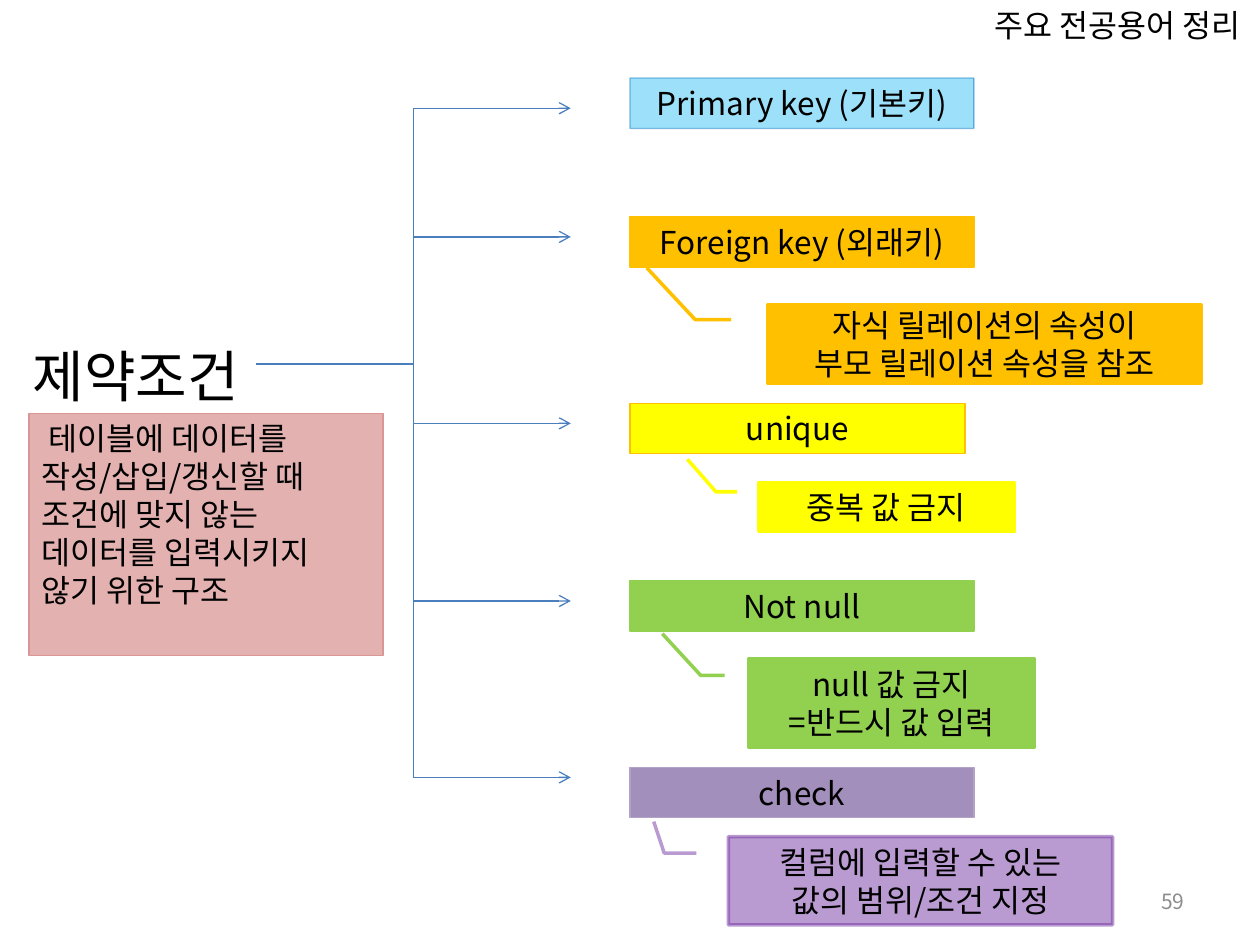
from dataclasses import dataclass
from typing import NamedTuple

from lxml import etree
from pptx import Presentation
from pptx.dml.color import RGBColor
from pptx.enum.shapes import MSO_CONNECTOR, MSO_SHAPE
from pptx.enum.text import MSO_ANCHOR, MSO_AUTO_SIZE, PP_ALIGN
from pptx.oxml.ns import qn
from pptx.util import Pt

PX = 9144
TITLE_ONLY = 5
STRAIGHT, ELBOW = MSO_CONNECTOR.STRAIGHT, MSO_CONNECTOR.ELBOW
RECTANGLE, CALLOUT = MSO_SHAPE.RECTANGLE, MSO_SHAPE.LINE_CALLOUT_2
TOP, MIDDLE = MSO_ANCHOR.TOP, MSO_ANCHOR.MIDDLE
LEFT, CENTER, RIGHT = PP_ALIGN.LEFT, PP_ALIGN.CENTER, PP_ALIGN.RIGHT
GROW, FIXED = MSO_AUTO_SIZE.SHAPE_TO_FIT_TEXT, MSO_AUTO_SIZE.NONE


class Box(NamedTuple):
    left: int
    top: int
    width: int
    height: int


class Paint(NamedTuple):
    color: str
    opacity: int = 100


@dataclass(frozen=True)
class Theme:
    font: str = "Noto Sans CJK KR"
    heading: int = 32
    body: int = 18
    small: int = 12
    thin: float = 0.75
    thick: float = 2
    ink: str = "000000"
    muted: str = "8C8C8C"
    branch: str = "4B7EBC"
    rose: Paint = Paint("C0504D", 44)
    rose_edge: Paint = Paint("D99694")
    sky: Paint = Paint("00B0F0", 39)
    sky_edge: Paint = Paint("0070C0", 45)
    orange: Paint = Paint("FFC000")
    yellow: Paint = Paint("FFFF00")
    green: Paint = Paint("92D050")
    purple: Paint = Paint("8064A2", 72)
    purple_edge: Paint = Paint("B3A2C7")
    violet: Paint = Paint("7030A0", 48)
    violet_edge: Paint = Paint("7030A0", 47)


THEME = Theme()


class Note(NamedTuple):
    offset: Box
    lines: list
    fill: Paint
    edge: Paint
    pointer: tuple = (-0.475, -0.278)


class Constraint(NamedTuple):
    top: int
    width: int
    name: str
    fill: Paint
    edge: Paint
    note: Note | None = None


CONSTRAINTS = [
    Constraint(0, 273, "Primary key (기본키)", THEME.sky, THEME.sky_edge),
    Constraint(110, 273, "Foreign key (외래키)", THEME.orange, THEME.orange,
               Note(Box(109, 70, 344, 62), ["자식 릴레이션의 속성이", "부모 릴레이션 속성을 참조"],
                    THEME.orange, THEME.orange)),
    Constraint(258, 266, "unique", THEME.yellow, THEME.orange,
               Note(Box(102, 63, 203, 39), ["중복 값 금지"], THEME.yellow, THEME.yellow)),
    Constraint(399, 273, "Not null", THEME.green, THEME.green,
               Note(Box(94, 62, 227, 70), ["null 값 금지", "=반드시 값 입력"],
                    THEME.green, THEME.green, (-0.286, -0.301))),
    Constraint(547, 273, "check", THEME.purple, THEME.purple_edge,
               Note(Box(78, 55, 305, 70), ["컬럼에 입력할 수 있는", "값의 범위/조건 지정"],
                    THEME.violet, THEME.violet_edge, (-0.17, -0.194))),
]


def emu(values):
    """Turn px lengths into EMU."""
    return [value * PX for value in values]


def write(frame, lines, size=THEME.body, color=THEME.ink, align=CENTER, anchor=TOP, fit=GROW):
    """Fill a text frame with one paragraph for each line."""
    frame.word_wrap = True
    frame.auto_size = fit
    frame.vertical_anchor = anchor
    for index, line in enumerate(lines):
        para = frame.add_paragraph() if index else frame.paragraphs[0]
        para.alignment = align
        span = para.add_run()
        span.text = line
        span.font.size = Pt(size)
        span.font.color.rgb = RGBColor.from_string(color)
        span.font.name = THEME.font
        etree.SubElement(span._r.get_or_add_rPr(), qn("a:ea"), typeface=THEME.font)


def apply_paint(fill, paint, parent):
    """Give a fill its colour and opacity."""
    fill.solid()
    fill.fore_color.rgb = RGBColor.from_string(paint.color)
    if paint.opacity < 100:
        color = parent.find(qn("a:solidFill")).find(qn("a:srgbClr"))
        etree.SubElement(color, qn("a:alpha"), val=str(paint.opacity * 1000))


def add_panel(page, kind, box, fill, edge, weight):
    """Add a filled and outlined shape."""
    shape = page.shapes.add_shape(kind, *emu(box))
    shape.shadow.inherit = False
    shape.line.width = Pt(weight)
    properties = shape._element.spPr
    apply_paint(shape.fill, fill, properties)
    apply_paint(shape.line.fill, edge, properties.find(qn("a:ln")))
    return shape


def add_branch(page, kind, start, end, arrow=True):
    """Add one connector of the tree."""
    line = page.shapes.add_connector(kind, *emu(start + end))
    line.line.color.rgb = RGBColor.from_string(THEME.branch)
    line.line.width = Pt(THEME.thin)
    properties = line._element.spPr
    if arrow:
        etree.SubElement(properties.find(qn("a:ln")), qn("a:tailEnd"), type="arrow")
    etree.SubElement(properties, qn("a:effectLst"))


def add_title(page, box):
    """Place the title in the page corner."""
    title = page.shapes.title
    title.left, title.top, title.width, title.height = emu(box)
    write(title.text_frame, ["주요 전공용어 정리"])


def add_definition(page, box):
    """Place the term with its definition below."""
    term = page.shapes.add_textbox(*emu((box.left - 7, box.top, 219, 64)))
    write(term.text_frame, ["제약조건"], THEME.heading, align=LEFT)
    panel = add_panel(page, RECTANGLE, Box(box.left, box.top + 62, box.width, box.height - 62),
                      THEME.rose, THEME.rose_edge, THEME.thin)
    write(panel.text_frame, [" 테이블에 데이터를", "작성/삽입/갱신할 때 조건에 맞지 않는",
                             "데이터를 입력시키지 않기 위한 구조"], align=LEFT)


def add_tree(page, box):
    """Branch from the term to every constraint."""
    middle, right = box.left + box.width // 2, box.left + box.width
    root, bottom = box.top + 203, box.top + box.height
    add_branch(page, ELBOW, (box.left, root), (right, box.top))
    add_branch(page, STRAIGHT, (middle, root), (middle, bottom), arrow=False)
    for offset in (102, 250, 391, box.height):
        level = box.top + offset
        add_branch(page, STRAIGHT, (middle, level), (right, level))


def add_note(page, box, note):
    """Place a callout that explains a constraint."""
    shape = add_panel(page, CALLOUT, box, note.fill, note.edge, THEME.thick)
    for index, value in enumerate((0.1875, -0.0833, 0.1875, -0.1667, *note.pointer)):
        shape.adjustments[index] = value
    write(shape.text_frame, note.lines, anchor=MIDDLE, fit=FIXED)


def add_constraints(page, box):
    """Place the constraint labels with their notes."""
    for item in CONSTRAINTS:
        top = box.top + item.top
        label = add_panel(page, RECTANGLE, Box(box.left, top, item.width, 40),
                          item.fill, item.edge, THEME.thin)
        write(label.text_frame, [item.name])
        if item.note:
            place = item.note.offset
            add_note(page, Box(box.left + place.left, top + place.top, place.width, place.height),
                     item.note)


def add_page_number(page, box):
    """Place the page number."""
    number = page.shapes.add_textbox(*emu(box))
    write(number.text_frame, ["59"], THEME.small, THEME.muted, RIGHT, MIDDLE, FIXED)


def main():
    """Build and save the deck."""
    deck = Presentation()
    deck.slide_width, deck.slide_height = emu((1000, 750))
    page = deck.slides.add_slide(deck.slide_layouts[TITLE_ONLY])
    add_title(page, Box(758, 0, 258, 40))
    add_definition(page, Box(23, 266, 281, 254))
    add_tree(page, Box(203, 86, 250, 531))
    add_constraints(page, Box(500, 62, 453, 672))
    add_page_number(page, Box(717, 695, 233, 40))
    deck.save("out.pptx")


if __name__ == "__main__":
    main()
